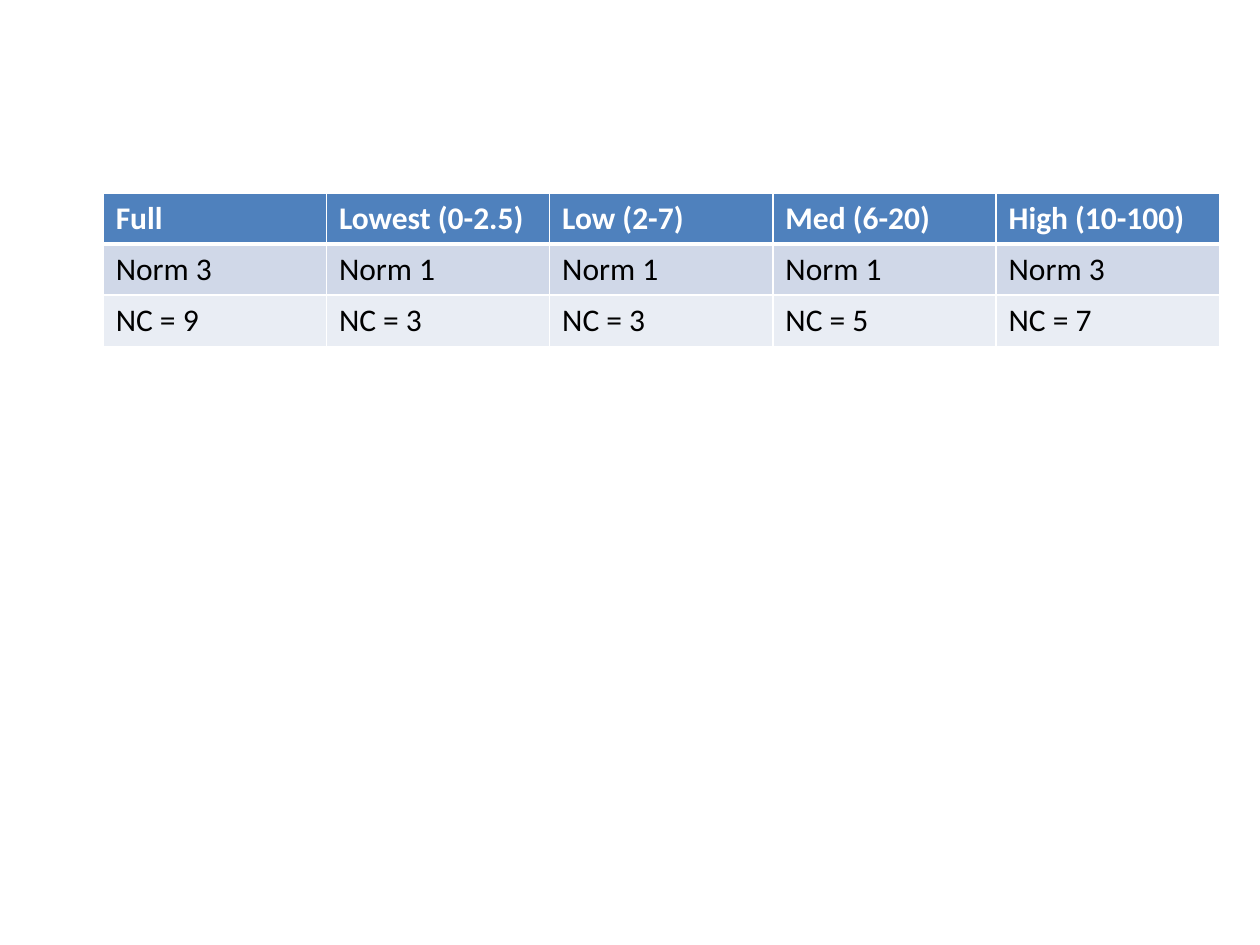
from lxml import etree
from pptx import Presentation
from pptx.dml.color import RGBColor
from pptx.oxml.ns import qn
from pptx.util import Cm, Pt

# Content
ROWS = [
    ("Full", "Lowest (0-2.5)", "Low (2-7)", "Med (6-20)", "High (10-100)"),
    ("Norm 3", "Norm 1", "Norm 1", "Norm 1", "Norm 3"),
    ("NC = 9", "NC = 3", "NC = 3", "NC = 5", "NC = 7"),
]

# Format
WHITE = RGBColor(0xFF, 0xFF, 0xFF)
BLACK = RGBColor(0x00, 0x00, 0x00)
BLUE = RGBColor(0x4F, 0x81, 0xBD)
BAND = RGBColor(0xD0, 0xD8, 0xE8)
PALE = RGBColor(0xE9, 0xED, 0xF4)
FILLS = (BLUE, BAND, PALE)
HEAD = {"name": "Calibri", "size": Pt(18), "bold": True}
BODY = {**HEAD, "bold": False}
THIN, THICK = Pt(1), Pt(3)
LEFT, TOP = Cm(2.08), Cm(3.89)
WIDE, HIGH = Cm(4.5), Cm(1.03)


def add_edges(cell, top, base):
    """Draw the white lines around a cell."""
    props = cell._tc.get_or_add_tcPr()
    for side, width in (("L", THIN), ("R", THIN), ("T", top), ("B", base)):
        line = etree.SubElement(props, qn(f"a:ln{side}"), w=str(int(width)))
        fill = etree.SubElement(line, qn("a:solidFill"))
        etree.SubElement(fill, qn("a:srgbClr"), val=str(WHITE))


def fill_cell(cell, text, row):
    """Set the text, lines and fill of a cell."""
    cell.text = text
    font = cell.text_frame.paragraphs[0].runs[0].font
    for key, value in (BODY if row else HEAD).items():
        setattr(font, key, value)
    font.color.rgb = BLACK if row else WHITE
    add_edges(cell, THICK if row == 1 else THIN, THIN if row else THICK)
    cell.fill.solid()
    cell.fill.fore_color.rgb = FILLS[row]


def main():
    deck = Presentation()
    deck.slide_width, deck.slide_height = Cm(25.4), Cm(19.05)
    slide = deck.slides.add_slide(deck.slide_layouts[6])

    # Norm table
    count, span = len(ROWS), len(ROWS[0])
    table = slide.shapes.add_table(
        count, span, LEFT, TOP, WIDE * span, HIGH * count).table
    for row, texts in enumerate(ROWS):
        for col, text in enumerate(texts):
            fill_cell(table.cell(row, col), text, row)

    deck.save("out.pptx")


if __name__ == "__main__":
    main()
